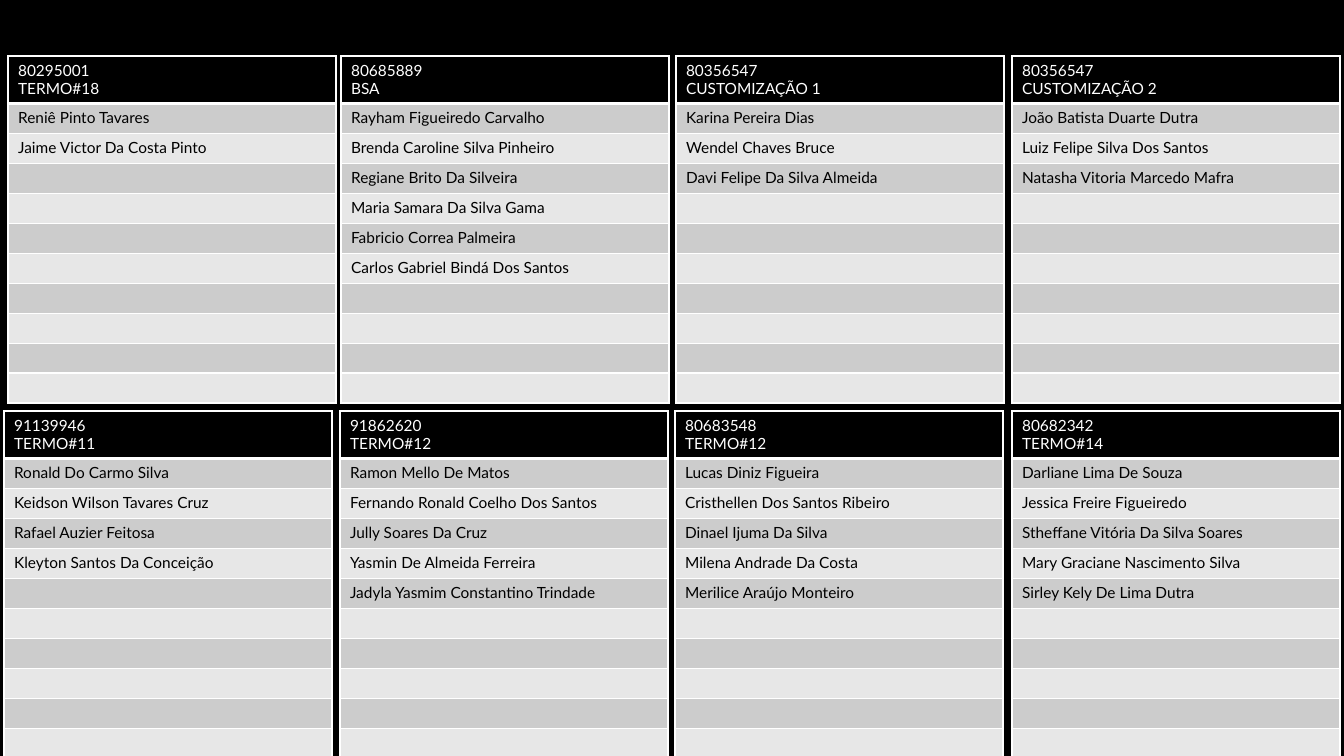
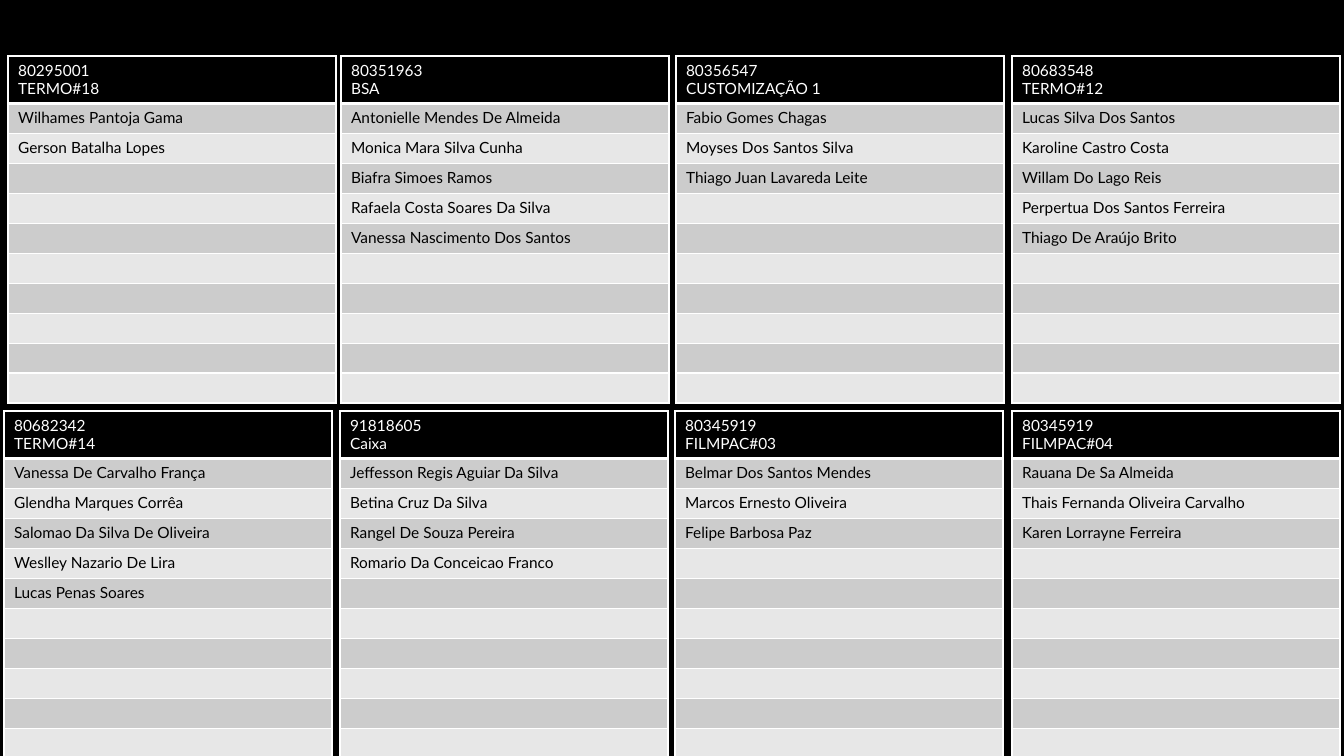
"""Build two slides of team rosters, one table per production line."""
from dataclasses import dataclass

from lxml import etree
from pptx import Presentation
from pptx import util as u
from pptx.dml.color import RGBColor
from pptx.oxml import ns

PX = 914400 / 100.8
SLIDE_WIDTH, SLIDE_HEIGHT = 1344, 756
TABLE_WIDTH, HEADER_HEIGHT, ROW_HEIGHT = 328, 47, 30
NAME_ROWS = 10
COLORS = {
    "background": "000000",
    "header": "000000",
    "header_text": "FFFFFF",
    "name_text": "000000",
    "odd_row": "CCCCCC",
    "even_row": "E7E7E7",
    "border": "FFFFFF",
}
FONT = {"name": "Lato", "size": u.Pt(11), "bold": False}
THIN, THICK = u.Pt(1), u.Pt(3)


@dataclass(frozen=True)
class Band:
    top: int
    lefts: tuple[int, ...]


@dataclass(frozen=True)
class Roster:
    code: str
    line: str
    names: tuple[str, ...]


BANDS = (Band(56, (8, 341, 676, 1012)), Band(411, (4, 340, 675, 1012)))
SLIDES = (
    (
        Roster("80295001", "TERMO#18", ("Reniê Pinto Tavares", "Jaime Victor Da Costa Pinto")),
        Roster("80685889", "BSA", (
            "Rayham Figueiredo Carvalho", "Brenda Caroline Silva Pinheiro",
            "Regiane Brito Da Silveira", "Maria Samara Da Silva Gama",
            "Fabricio Correa Palmeira", "Carlos Gabriel Bindá Dos Santos")),
        Roster("80356547", "CUSTOMIZAÇÃO 1", (
            "Karina Pereira Dias", "Wendel Chaves Bruce", "Davi Felipe Da Silva Almeida")),
        Roster("80356547", "CUSTOMIZAÇÃO 2", (
            "João Batista Duarte Dutra", "Luiz Felipe Silva Dos Santos",
            "Natasha Vitoria Marcedo Mafra")),
        Roster("91139946", "TERMO#11", (
            "Ronald Do Carmo Silva", "Keidson Wilson Tavares Cruz",
            "Rafael Auzier Feitosa", "Kleyton Santos Da Conceição")),
        Roster("91862620", "TERMO#12", (
            "Ramon Mello De Matos", "Fernando Ronald Coelho Dos Santos",
            "Jully Soares Da Cruz", "Yasmin De Almeida Ferreira",
            "Jadyla Yasmim Constantino Trindade")),
        Roster("80683548", "TERMO#12", (
            "Lucas Diniz Figueira", "Cristhellen Dos Santos Ribeiro",
            "Dinael Ijuma Da Silva", "Milena Andrade Da Costa", "Merilice Araújo Monteiro")),
        Roster("80682342", "TERMO#14", (
            "Darliane Lima De Souza", "Jessica Freire Figueiredo",
            "Stheffane Vitória Da Silva Soares", "Mary Graciane Nascimento Silva",
            "Sirley Kely De Lima Dutra")),
    ),
    (
        Roster("80295001", "TERMO#18", ("Wilhames Pantoja Gama", "Gerson Batalha Lopes")),
        Roster("80351963", "BSA", (
            "Antonielle Mendes De Almeida", "Monica Mara Silva Cunha", "Biafra Simoes Ramos",
            "Rafaela Costa Soares Da Silva", "Vanessa Nascimento Dos Santos")),
        Roster("80356547", "CUSTOMIZAÇÃO 1", (
            "Fabio Gomes Chagas", "Moyses Dos Santos Silva", "Thiago Juan Lavareda Leite")),
        Roster("80683548", "TERMO#12", (
            "Lucas Silva Dos Santos", "Karoline Castro Costa", "Willam Do Lago Reis",
            "Perpertua Dos Santos Ferreira", "Thiago De Araújo Brito")),
        Roster("80682342", "TERMO#14", (
            "Vanessa De Carvalho França", "Glendha Marques Corrêa",
            "Salomao Da Silva De Oliveira", "Weslley Nazario De Lira", "Lucas Penas Soares")),
        Roster("91818605", "Caixa", (
            "Jeffesson Regis Aguiar Da Silva", "Betina Cruz Da Silva",
            "Rangel De Souza Pereira", "Romario Da Conceicao Franco")),
        Roster("80345919", "FILMPAC#03", (
            "Belmar Dos Santos Mendes", "Marcos Ernesto Oliveira", "Felipe Barbosa Paz")),
        Roster("80345919", "FILMPAC#04", (
            "Rauana De Sa Almeida", "Thais Fernanda Oliveira Carvalho",
            "Karen Lorrayne Ferreira")),
    ),
)


def px(length: int) -> u.Emu:
    return u.Emu(round(length * PX))


def color(name: str) -> RGBColor:
    return RGBColor.from_string(COLORS[name])


def add_borders(cell, bottom: int) -> None:
    properties = cell._tc.get_or_add_tcPr()
    for side, width in {"lnL": THIN, "lnR": THIN, "lnT": THIN, "lnB": bottom}.items():
        line = etree.SubElement(properties, ns.qn(f"a:{side}"), w=str(int(width)))
        fill = etree.SubElement(line, ns.qn("a:solidFill"))
        etree.SubElement(fill, ns.qn("a:srgbClr"), val=COLORS["border"])


def format_cell(cell, content: str, fill: str, text_color: str, bottom: int = THIN) -> None:
    add_borders(cell, bottom)
    cell.fill.solid()
    cell.fill.fore_color.rgb = color(fill)
    cell.text = content
    for paragraph in cell.text_frame.paragraphs:
        for run in paragraph.runs:
            for attribute, value in FONT.items():
                setattr(run.font, attribute, value)
            run.font.color.rgb = color(text_color)
        if not paragraph.runs:
            end = etree.SubElement(paragraph._p, ns.qn("a:endParaRPr"),
                                   sz=str(int(FONT["size"].pt * 100)))
            etree.SubElement(end, ns.qn("a:latin"), typeface=FONT["name"])


def add_roster(slide, roster: Roster, left: int, top: int) -> None:
    height = HEADER_HEIGHT + NAME_ROWS * ROW_HEIGHT
    table = slide.shapes.add_table(
        NAME_ROWS + 1, 1, px(left), px(top), px(TABLE_WIDTH), px(height)).table
    table.first_row = table.horz_banding = False
    for index, row in enumerate(table.rows):
        row.height = px(ROW_HEIGHT if index else HEADER_HEIGHT)
    format_cell(table.cell(0, 0), f"{roster.code}\n{roster.line}",
                "header", "header_text", THICK)
    for index in range(NAME_ROWS):
        name = roster.names[index] if index < len(roster.names) else ""
        fill = "even_row" if index % 2 else "odd_row"
        format_cell(table.cell(index + 1, 0), name, fill, "name_text")


def add_roster_slide(presentation, rosters: tuple[Roster, ...]) -> None:
    slide = presentation.slides.add_slide(presentation.slide_layouts[6])
    slide.background.fill.solid()
    slide.background.fill.fore_color.rgb = color("background")
    spots = [(left, band.top) for band in BANDS for left in band.lefts]
    for roster, (left, top) in zip(rosters, spots):
        add_roster(slide, roster, left, top)


def main() -> None:
    presentation = Presentation()
    presentation.slide_width, presentation.slide_height = px(SLIDE_WIDTH), px(SLIDE_HEIGHT)
    for rosters in SLIDES:
        add_roster_slide(presentation, rosters)
    presentation.save("out.pptx")


if __name__ == "__main__":
    main()
